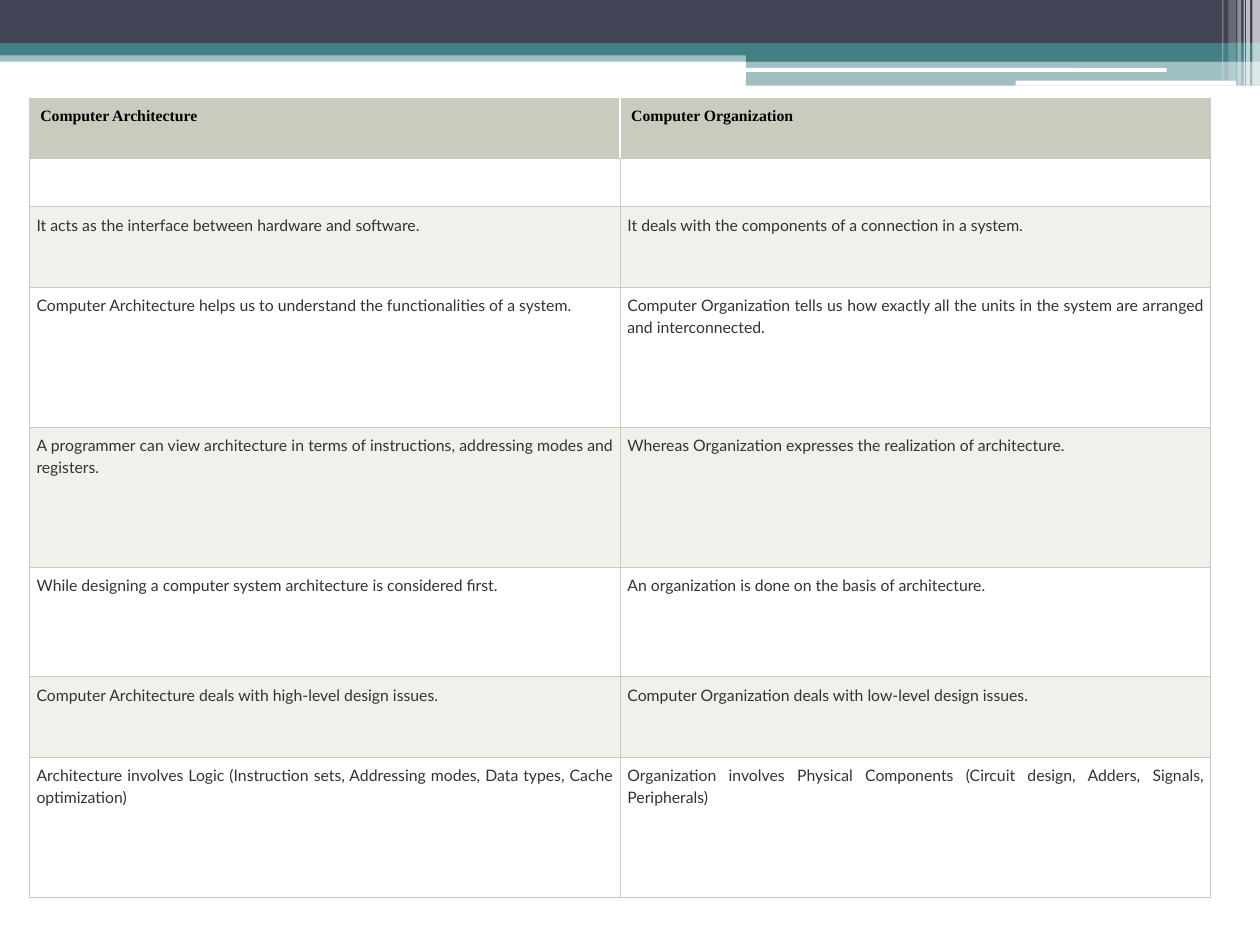
import pptx
import pptx.dml.color
import pptx.enum.shapes
import pptx.enum.text
import pptx.oxml
import pptx.oxml.ns
import pptx.util
from lxml import etree

Inches = pptx.util.Inches
Pt = pptx.util.Pt
ALIGN = pptx.enum.text.PP_ALIGN
SHAPE = pptx.enum.shapes.MSO_SHAPE

# Content
ROWS = [
    ("Computer Architecture", "Computer Organization"),
    ("", ""),
    ("It acts as the interface between hardware and software.",
     "It deals with the components of a connection in a system."),
    ("Computer Architecture helps us to understand the functionalities of a system.",
     "Computer Organization tells us how exactly all the units in the system are arranged and interconnected."),
    ("A programmer can view architecture in terms of instructions, addressing modes and registers.",
     "Whereas Organization expresses the realization of architecture."),
    ("While designing a computer system architecture is considered first.",
     "An organization is done on the basis of architecture."),
    ("Computer Architecture deals with high-level design issues.",
     "Computer Organization deals with low-level design issues."),
    ("Architecture involves Logic (Instruction sets, Addressing modes, Data types, Cache optimization)",
     "Organization involves Physical Components (Circuit design, Adders, Signals, Peripherals)"),
]
ROW_HEIGHTS = [0.48, 0.38, 0.64, 1.11, 1.11, 0.87, 0.64, 1.11]
COLUMN_WIDTH = 4.69
TABLE_LEFT, TABLE_TOP = 0.23, 0.78

# Palette
NAVY, TEAL, WHITE = "424456", "438086", "FFFFFF"
SAGE, PALE = "C7CCBE", "EFF1EB"

# Header bands: left, top, width, height, colour, opacity in percent
BANDS = [
    (0, 0.4, 10, 0.09, TEAL, 50),
    (0, 0, 10, 0.34, NAVY, 100),
    (0, 0.34, 10, 0.1, TEAL, 100),
    (5.92, 0.39, 4.08, 0.1, TEAL, 100),
    (5.92, 0.48, 4.08, 0.2, TEAL, 50),
]
ROUNDED_BARS = [
    (5.91, 0.54, 3.35, 0.03, WHITE, 100),
    (8.06, 0.64, 1.75, 0.04, WHITE, 100),
]
# Corner stripes: left, width, height, opacity in percent
STRIPES = [
    (9.94, 0.06, 0.68, 65), (9.89, 0.03, 0.68, 65), (9.87, 0.01, 0.68, 60),
    (9.82, 0.03, 0.68, 40), (9.75, 0.06, 0.64, 20), (9.7, 0.01, 0.64, 30),
]

HEADER_FORMAT = {"size": Pt(9), "name": "Times New Roman", "bold": True}
BODY_FORMAT = {"size": Pt(9), "name": "Lato", "bold": False}


def colour(value):
    return pptx.dml.color.RGBColor.from_string(value)


def set_all(target, values):
    for name, value in values.items():
        setattr(target, name, value)


def paint(fill, value):
    fill.solid()
    fill.fore_color.rgb = colour(value)


def add_bar(page, kind, left, top, width, height, value, opacity):
    bar = page.shapes.add_shape(
        kind, Inches(left), Inches(top), Inches(width), Inches(height))
    bar.shadow.inherit = False
    bar.line.fill.background()
    paint(bar.fill, value)
    if opacity < 100:
        tone = bar.fill._xPr.find(".//" + pptx.oxml.ns.qn("a:srgbClr"))
        etree.SubElement(tone, pptx.oxml.ns.qn("a:alpha"), val=str(opacity * 1000))


def set_borders(cell, sides):
    properties = cell._tc.get_or_add_tcPr()
    for index, side in enumerate(sides):
        properties.insert(index, pptx.oxml.parse_xml(
            f'<a:ln{side} {pptx.oxml.ns.nsdecls("a")} w="{Pt(0.45)}">'
            f'<a:solidFill><a:srgbClr val="{SAGE}"/></a:solidFill></a:ln{side}>'))


def fill_cell(cell, text, row, column):
    header = row == 0
    paint(cell.fill, SAGE if header else WHITE if row % 2 else PALE)
    set_borders(cell, ("LTB", "RTB")[column] if header else "LRTB")
    side = Inches(0.09 if header else 0.06)
    edge = Inches(0.05 if text else 0.02)
    set_all(cell, {"margin_left": side, "margin_right": side,
                   "margin_top": edge, "margin_bottom": edge})
    if not text:
        return
    para = cell.text_frame.paragraphs[0]
    set_all(para, {"alignment": ALIGN.LEFT if header else ALIGN.JUSTIFY,
                   "line_spacing": 1.15})
    span = para.add_run()
    span.text = text
    set_all(span.font, HEADER_FORMAT if header else BODY_FORMAT)
    span.font.color.rgb = colour("000000" if header else "333333")


def main():
    deck = pptx.Presentation()
    set_all(deck, {"slide_width": Inches(10), "slide_height": Inches(7.5)})
    page = deck.slides.add_slide(deck.slide_layouts[6])

    # Decoration along the top
    for band in BANDS:
        add_bar(page, SHAPE.RECTANGLE, *band)
    for bar in ROUNDED_BARS:
        add_bar(page, SHAPE.ROUNDED_RECTANGLE, *bar)
    for left, width, height, opacity in STRIPES:
        add_bar(page, SHAPE.RECTANGLE, left, 0, width, height, WHITE, opacity)

    # Comparison table
    table = page.shapes.add_table(
        len(ROWS), 2, Inches(TABLE_LEFT), Inches(TABLE_TOP),
        Inches(2 * COLUMN_WIDTH), Inches(sum(ROW_HEIGHTS))).table
    for column in table.columns:
        column.width = Inches(COLUMN_WIDTH)
    for row, texts in enumerate(ROWS):
        table.rows[row].height = Inches(ROW_HEIGHTS[row])
        for column, text in enumerate(texts):
            fill_cell(table.cell(row, column), text, row, column)

    deck.save("out.pptx")


if __name__ == "__main__":
    main()
